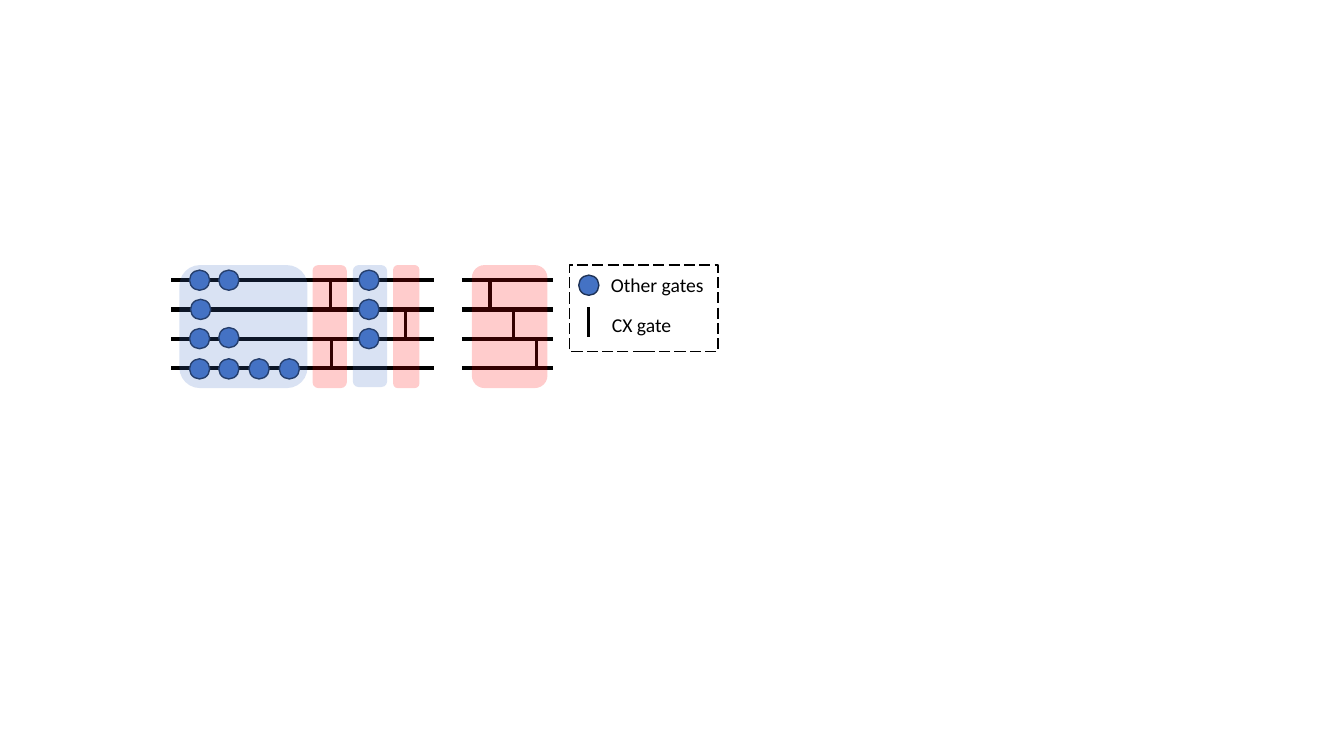
"""Draw two layered quantum circuits and a legend for their gates."""
from lxml import etree
from pptx import Presentation
from pptx import util as u
from pptx.dml.color import RGBColor
from pptx.enum import dml, shapes, text
from pptx.oxml.ns import qn

PX = 9144
COLORS = {"wire": "000000", "gate": "4472C4", "rim": "1E3256",
          "local": "4472C4", "cx": "FF0000", "label": "000000"}
WIRE_TOP, WIRE_GAP = 278, 29
GATE_SIZE = 20
BAND_TOP = 263

deck = Presentation()
deck.slide_width, deck.slide_height = 1333 * PX, 750 * PX
page = deck.slides.add_slide(deck.slide_layouts[6])


def add_line(x1, y1, x2, y2, weight):
    line = page.shapes.add_connector(
        shapes.MSO_CONNECTOR.STRAIGHT, x1 * PX, y1 * PX, x2 * PX, y2 * PX)
    line.line.color.rgb = RGBColor.from_string(COLORS["wire"])
    line.line.width = u.Pt(weight)
    etree.SubElement(line._element.spPr, qn("a:effectLst"))


def add_block(kind, left, top, width, height, fill=None):
    block = page.shapes.add_shape(
        kind, left * PX, top * PX, width * PX, height * PX)
    block.shadow.inherit = False
    if fill:
        block.fill.solid()
        block.fill.fore_color.rgb = RGBColor.from_string(COLORS[fill])
    else:
        block.fill.background()
    return block


for left, right in [(170, 430), (458, 548)]:
    for row in range(4):
        y = WIRE_TOP + row * WIRE_GAP
        add_line(left, y, right, y, 3)

gates = [(188, 268), (217, 268), (189, 297), (188, 326), (217, 325)]
gates += [(left, 356) for left in (188, 217, 247, 277)]
gates += [(356, 268 + row * WIRE_GAP) for row in range(3)]
gates.append((574, 273))
for left, top in gates:
    gate = add_block(shapes.MSO_SHAPE.OVAL, left, top, GATE_SIZE, GATE_SIZE, "gate")
    gate.line.color.rgb = RGBColor.from_string(COLORS["rim"])
    gate.line.width = u.Pt(1)

for x, top in [(328, 280), (329, 338), (402, 305), (486, 280),
               (509, 309), (532, 337), (584, 305)]:
    add_line(x, top, x, top + WIRE_GAP, 2.25)

for left, width, height, kind in [(178, 127, 122, "local"), (350, 34, 121, "local"),
                                  (310, 34, 122, "cx"), (390, 26, 122, "cx"),
                                  (468, 75, 122, "cx")]:
    band = add_block(shapes.MSO_SHAPE.ROUNDED_RECTANGLE, left, BAND_TOP, width, height, kind)
    band.line.fill.background()
    tint = band._element.spPr.find(qn("a:solidFill"))[0]
    etree.SubElement(tint, qn("a:alpha"), val="20000")

for label, left, top, width in [("CX gate", 597, 306, 99),
                                ("Other gates", 596, 266, 114)]:
    box = page.shapes.add_textbox(left * PX, top * PX, width * PX, 34 * PX)
    box.text_frame.word_wrap = True
    box.text_frame.auto_size = text.MSO_AUTO_SIZE.SHAPE_TO_FIT_TEXT
    span = box.text_frame.paragraphs[0].add_run()
    span.text = label
    span.font.name = "Calibri"
    span.font.size = u.Pt(14)
    span.font.color.rgb = RGBColor.from_string(COLORS["label"])

legend = add_block(shapes.MSO_SHAPE.RECTANGLE, 565, BAND_TOP, 147, 86)
legend.line.color.rgb = RGBColor.from_string(COLORS["wire"])
legend.line.width = u.Pt(1)
legend.line.dash_style = dml.MSO_LINE.LONG_DASH

deck.save("out.pptx")
